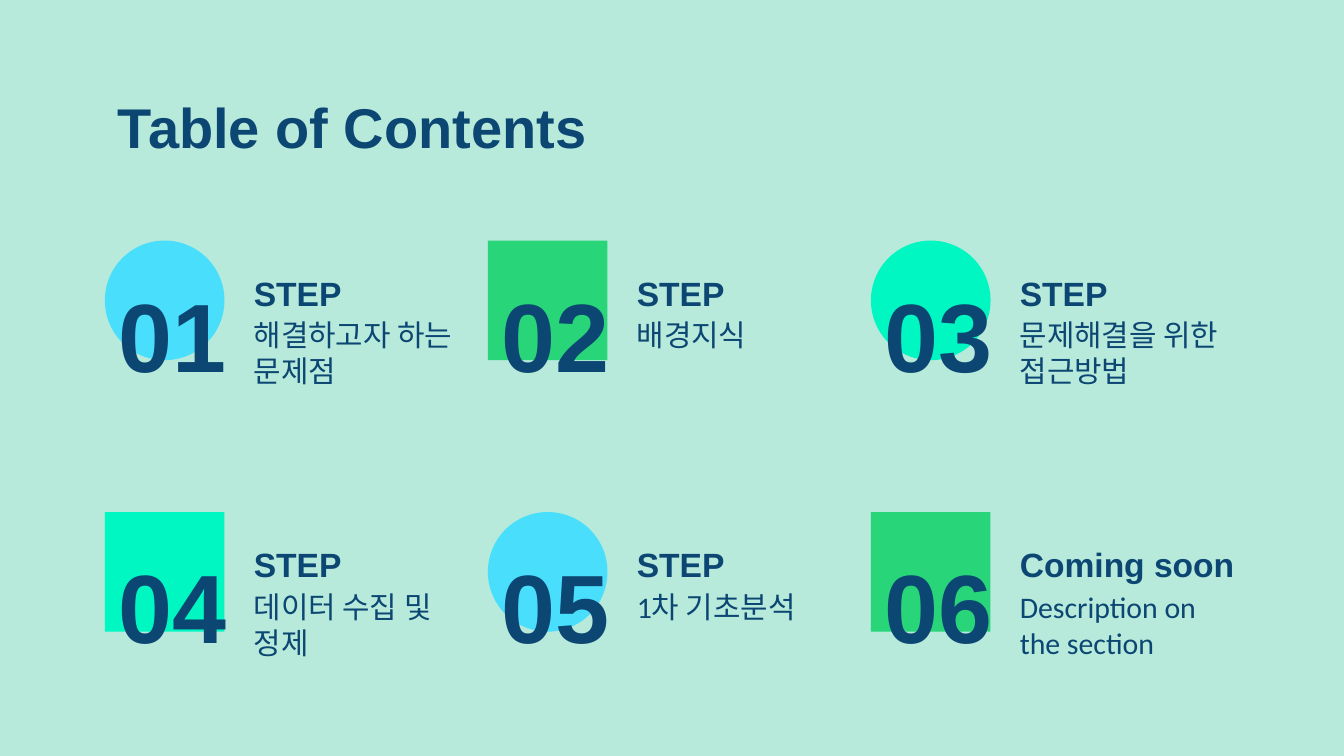
from dataclasses import dataclass

from pptx import Presentation
from pptx.dml.color import RGBColor
from pptx.enum.shapes import MSO_SHAPE
from pptx.enum.text import MSO_ANCHOR, PP_ALIGN
from pptx.util import Inches, Pt

CIRCLE, SQUARE = MSO_SHAPE.OVAL, MSO_SHAPE.RECTANGLE
TOP, MIDDLE, BOTTOM = MSO_ANCHOR.TOP, MSO_ANCHOR.MIDDLE, MSO_ANCHOR.BOTTOM
LEFT, CENTER = PP_ALIGN.LEFT, PP_ALIGN.CENTER

MINT = RGBColor(0xB7, 0xEA, 0xDB)
NAVY = RGBColor(0x0C, 0x46, 0x72)
SKY = RGBColor(0x49, 0xDE, 0xFC)
GREEN = RGBColor(0x28, 0xD6, 0x79)
AQUA = RGBColor(0x00, 0xF7, 0xC1)

PAGE_WIDTH = Inches(10)
PAGE_HEIGHT = PAGE_WIDTH * 9 // 16
COLUMNS = 3
GRID_LEFT, GRID_TOP = 0.78, 1.79
COLUMN_STEP, ROW_STEP = 2.85, 2.02
BADGE_SIZE = 0.89
NUMBER_WIDTH, TEXT_WIDTH = 1.01, 1.84


@dataclass(frozen=True)
class Section:
    heading: str
    description: str
    badge: MSO_SHAPE
    color: RGBColor


@dataclass(frozen=True)
class TextStyle:
    size: int
    name: str = "Arial"
    bold: bool = True
    anchor: MSO_ANCHOR = TOP
    align: PP_ALIGN = LEFT


TITLE = TextStyle(30)
NUMBER = TextStyle(52, anchor=MIDDLE, align=CENTER)
HEADING = TextStyle(18, anchor=BOTTOM)
DESCRIPTION = TextStyle(16, name="Calibri", bold=False)

SECTIONS = [
    Section("STEP", "해결하고자 하는 문제점", CIRCLE, SKY),
    Section("STEP", "배경지식", SQUARE, GREEN),
    Section("STEP", "문제해결을 위한 접근방법", CIRCLE, AQUA),
    Section("STEP", "데이터 수집 및 정제", SQUARE, AQUA),
    Section("STEP", "1차 기초분석", CIRCLE, SKY),
    Section("Coming soon", "Description on the section", SQUARE, GREEN),
]


def add_text(page, text: str, left: float, top: float, width: float,
             height: float, style: TextStyle) -> None:
    box = page.shapes.add_textbox(Inches(left), Inches(top), Inches(width), Inches(height))
    frame = box.text_frame
    frame_format = {"word_wrap": True, "vertical_anchor": style.anchor}
    for side in ("left", "top", "right", "bottom"):
        frame_format[f"margin_{side}"] = Inches(0.1)
    for key, value in frame_format.items():
        setattr(frame, key, value)
    para = frame.paragraphs[0]
    para.alignment = style.align
    span = para.add_run()
    span.text = text
    span.font.color.rgb = NAVY
    font_format = {"size": Pt(style.size), "name": style.name, "bold": style.bold}
    for key, value in font_format.items():
        setattr(span.font, key, value)


def add_badge(page, section: Section, left: float, top: float) -> None:
    size = Inches(BADGE_SIZE)
    badge = page.shapes.add_shape(section.badge, Inches(left), Inches(top), size, size)
    badge.shadow.inherit = False
    badge.fill.solid()
    badge.fill.fore_color.rgb = section.color
    badge.line.fill.background()


def add_section(page, index: int, section: Section) -> None:
    row, column = divmod(index, COLUMNS)
    left = GRID_LEFT + column * COLUMN_STEP
    top = GRID_TOP + row * ROW_STEP
    text_left = left + NUMBER_WIDTH
    add_badge(page, section, left, top)
    add_text(page, f"{index + 1:02}", left, top + 0.16, NUMBER_WIDTH, 1.06, NUMBER)
    add_text(page, section.heading, text_left, top + 0.16, TEXT_WIDTH, 0.48, HEADING)
    add_text(page, section.description, text_left, top + 0.47, TEXT_WIDTH, 0.75, DESCRIPTION)


def main() -> None:
    deck = Presentation()
    deck.slide_width, deck.slide_height = PAGE_WIDTH, PAGE_HEIGHT
    page = deck.slides.add_slide(deck.slide_layouts[6])
    page.background.fill.solid()
    page.background.fill.fore_color.rgb = MINT
    add_text(page, "Table of Contents", GRID_LEFT, 0.59, 8.44, 0.63, TITLE)
    for index, section in enumerate(SECTIONS):
        add_section(page, index, section)
    deck.save("out.pptx")


if __name__ == "__main__":
    main()
